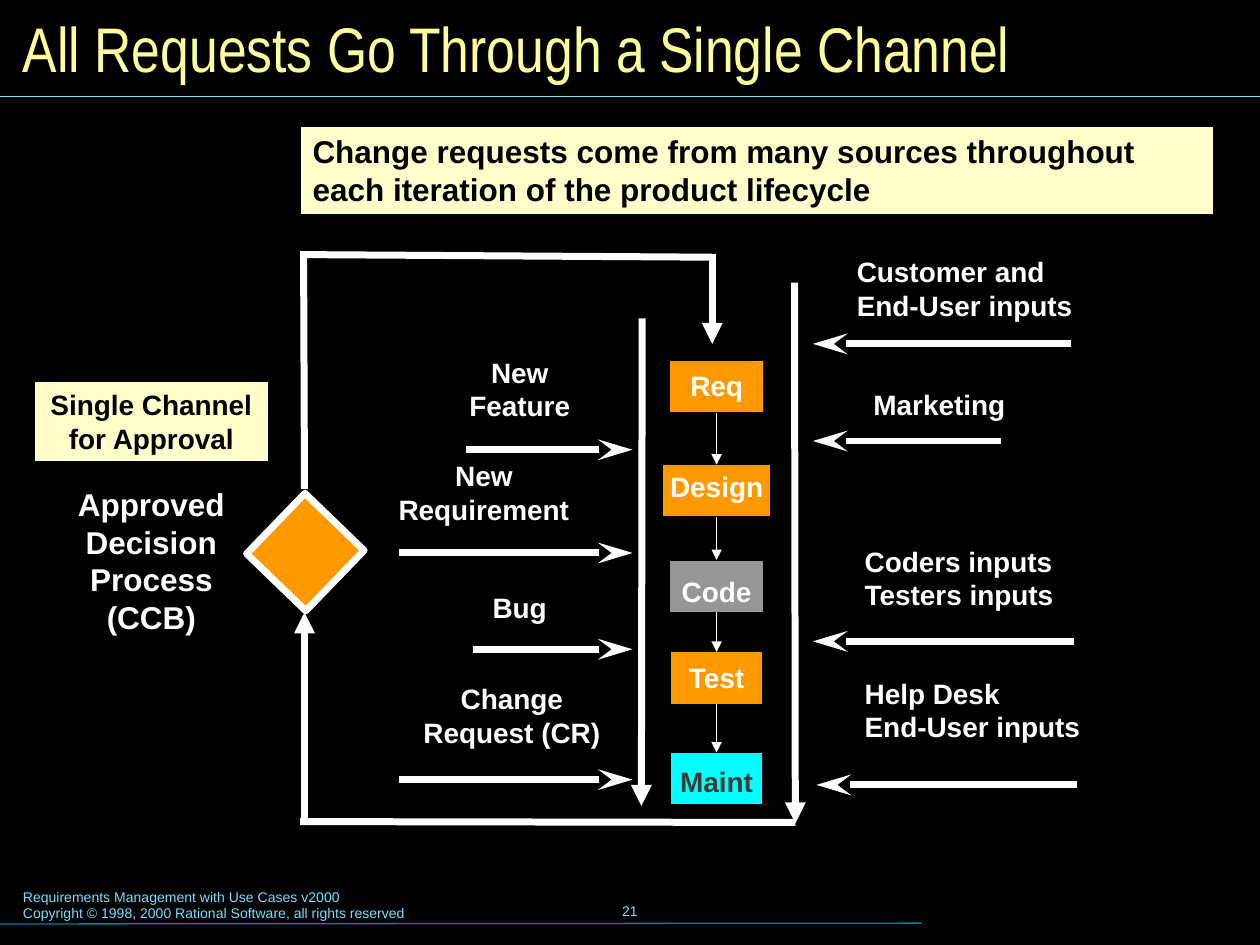
from itertools import pairwise

from lxml.etree import SubElement
from pptx import Presentation
from pptx.dml.color import RGBColor
from pptx.enum.shapes import MSO_CONNECTOR, MSO_SHAPE
from pptx.enum.text import MSO_ANCHOR, PP_ALIGN
from pptx.oxml.ns import qn
from pptx.util import Pt

COLORS = {
    "background": "000000", "title": "FFFF99", "rule": "73E1FF",
    "footer_rule": "007E9F", "note": "FFFFCC", "white": "FFFFFF",
    "black": "000000", "orange": "FF9900", "gray": "969696",
    "cyan": "00FFFF", "dark": "393939",
}


def rgb(name):
    return RGBColor.from_string(COLORS[name])


def write(shape, text, size=16, color="white", align=PP_ALIGN.CENTER,
          anchor=MSO_ANCHOR.TOP, font="Arial", bold=True):
    frame = shape.text_frame
    frame.word_wrap = True
    frame.vertical_anchor = anchor
    frame.text = text
    for paragraph in frame.paragraphs:
        paragraph.alignment = align
        for run in paragraph.runs:
            run.font.size = Pt(size)
            run.font.name = font
            run.font.bold = bold
            run.font.color.rgb = rgb(color)


def add_label(slide, left, top, width, height, text, **style):
    label = slide.shapes.add_textbox(Pt(left), Pt(top), Pt(width), Pt(height))
    write(label, text, **style)


def add_block(slide, left, top, width, height, fill, line="black", weight=0.75):
    block = slide.shapes.add_shape(
        MSO_SHAPE.RECTANGLE, Pt(left), Pt(top), Pt(width), Pt(height))
    block.shadow.inherit = False
    block.fill.solid()
    block.fill.fore_color.rgb = rgb(fill)
    block.line.color.rgb = rgb(line)
    block.line.width = Pt(weight)
    return block


def add_line(slide, x1, y1, x2, y2, color="white", weight=4, head=None):
    line = slide.shapes.add_connector(
        MSO_CONNECTOR.STRAIGHT, Pt(x1), Pt(y1), Pt(x2), Pt(y2))
    line.line.color.rgb = rgb(color)
    line.line.width = Pt(weight)
    if head:
        length = "lg" if head == "stealth" else "med"
        SubElement(line.line._get_or_add_ln(), qn("a:tailEnd"),
                   type=head, w="med", len=length)
    SubElement(line._element.spPr, qn("a:effectLst"))
    return line


def add_header(slide, left, top, width):
    add_label(slide, left + 6, top + 6, width - 12, 42,
              "All Requests Go Through a Single Channel", size=36,
              color="title", align=PP_ALIGN.LEFT, anchor=MSO_ANCHOR.MIDDLE,
              font="Arial Narrow", bold=False)
    add_line(slide, left, top + 55, left + width, top + 55, "rule", 0.75)


def add_footer(slide, left, top):
    style = {"size": 8, "color": "rule", "bold": False}
    add_label(slide, left + 6, top + 1.5, 367, 27,
              "Requirements Management with Use Cases v2000\n"
              "Copyright © 1998, 2000 Rational Software, all rights reserved",
              align=PP_ALIGN.LEFT, **style)
    add_label(slide, left + 246, top, 228, 36, "21",
              anchor=MSO_ANCHOR.MIDDLE, **style)
    add_line(slide, left, top + 25.5, left + 527, top + 25, "footer_rule", 0.75)


def add_banner(slide, left, top, width, height):
    banner = add_block(slide, left, top, width, height, "note")
    write(banner, "Change requests come from many sources throughout "
          "each iteration of the product lifecycle",
          size=18, color="black", align=PP_ALIGN.LEFT)


def add_pipeline(slide, left, top):
    stages = [
        ("Req", 44.5, 54, 4.5, "orange", "white"),
        ("Design", 104, 62, 3, "orange", "white"),
        ("Code", 158.5, 54, 8.5, "gray", "white"),
        ("Test", 211, 52.5, 5, "orange", "white"),
        ("Maint", 268.5, 52.5, 7, "cyan", "dark"),
    ]
    blocks = []
    for name, offset, width, inset, fill, color in stages:
        block = add_block(slide, left + 43.5 - width / 2, top + offset,
                          width, 30, fill)
        write(block, name, color=color)
        frame = block.text_frame
        frame.margin_left = frame.margin_right = frame.margin_bottom = 0
        frame.margin_top = Pt(inset)
        blocks.append(block)
    for upper, lower in pairwise(blocks):
        step = add_line(slide, 0, 0, 0, 0, weight=0.75, head="triangle")
        step.begin_connect(upper, 2)
        step.end_connect(lower, 0)
    add_line(slide, left + 1, top + 20.5, left + 0.5, top + 299, head="triangle")
    add_line(slide, left + 88, top, left + 88.5, top + 309, head="triangle")


def add_requests(slide, left, top):
    requests = [
        ("New\vFeature", 52, 0, 110, 45, 76.5, 57.5),
        ("New\nRequirement", 0, 59, 173, 45, 38, 116.5),
        ("Bug", 73.5, 134.5, 67, 27, 80, 171.5),
        ("Change\vRequest (CR)", 23, 186.5, 159, 45, 38, 246),
    ]
    for text, x, y, width, height, start, arrow_y in requests:
        add_label(slide, left + x, top + y, width, height, text)
        add_line(slide, left + start, top + arrow_y,
                 left + 171.5, top + arrow_y, head="stealth")


def add_inputs(slide, left, top):
    inputs = [
        ("Customer and\vEnd-User inputs", 18, 0, 140, 45, 147.5, 0, 54.5),
        ("Marketing", 27.5, 76, 137, 27, 107.5, 0, 110),
        ("Coders inputs\nTesters inputs", 22.5, 165.5, 187, 45, 149, 0, 224.5),
        ("Help Desk\nEnd-User inputs", 22.5, 241, 184, 45, 151, 2, 306.5),
    ]
    for text, x, y, width, height, start, end, arrow_y in inputs:
        add_label(slide, left + x, top + y, width, height, text,
                  align=PP_ALIGN.LEFT)
        add_line(slide, left + start, top + arrow_y,
                 left + end, top + arrow_y, head="stealth")


def add_approval(slide, left, top):
    channel = add_block(slide, left, top, 134, 46, "note")
    write(channel, "Single Channel\nfor Approval", color="black")
    add_label(slide, left + 17, top + 55.5, 100, 94,
              "Approved\vDecision\vProcess\n(CCB)", size=18)
    decision = add_block(slide, left + 131.5, top + 73.5, 47, 48,
                         "orange", "white", 4)
    decision.rotation = 44


def add_loop(slide, left, top):
    add_line(slide, left + 283, top + 326, left, top + 325.5)
    add_line(slide, left + 2.5, top + 327, left + 2.5, top + 206, head="triangle")
    add_line(slide, left + 2.5, top + 135.5, left + 2, top + 2)
    add_line(slide, left, top + 1.5, left + 235.5, top + 3)
    add_line(slide, left + 235.5, top + 1, left + 235.5, top + 52.5,
             head="triangle")


def main():
    presentation = Presentation()
    presentation.slide_width = Pt(720)
    presentation.slide_height = Pt(540)
    slide = presentation.slides.add_slide(presentation.slide_layouts[6])
    slide.background.fill.solid()
    slide.background.fill.fore_color.rgb = rgb("background")
    add_footer(slide, 0, 502.5)
    add_header(slide, 0, 0, 720)
    add_banner(slide, 171.5, 72, 522, 50.5)
    add_pipeline(slide, 366, 161.5)
    add_inputs(slide, 464.5, 142)
    add_requests(slide, 190, 199.5)
    add_approval(slide, 19.5, 218)
    add_loop(slide, 171.5, 144)
    presentation.save("out.pptx")


if __name__ == "__main__":
    main()
